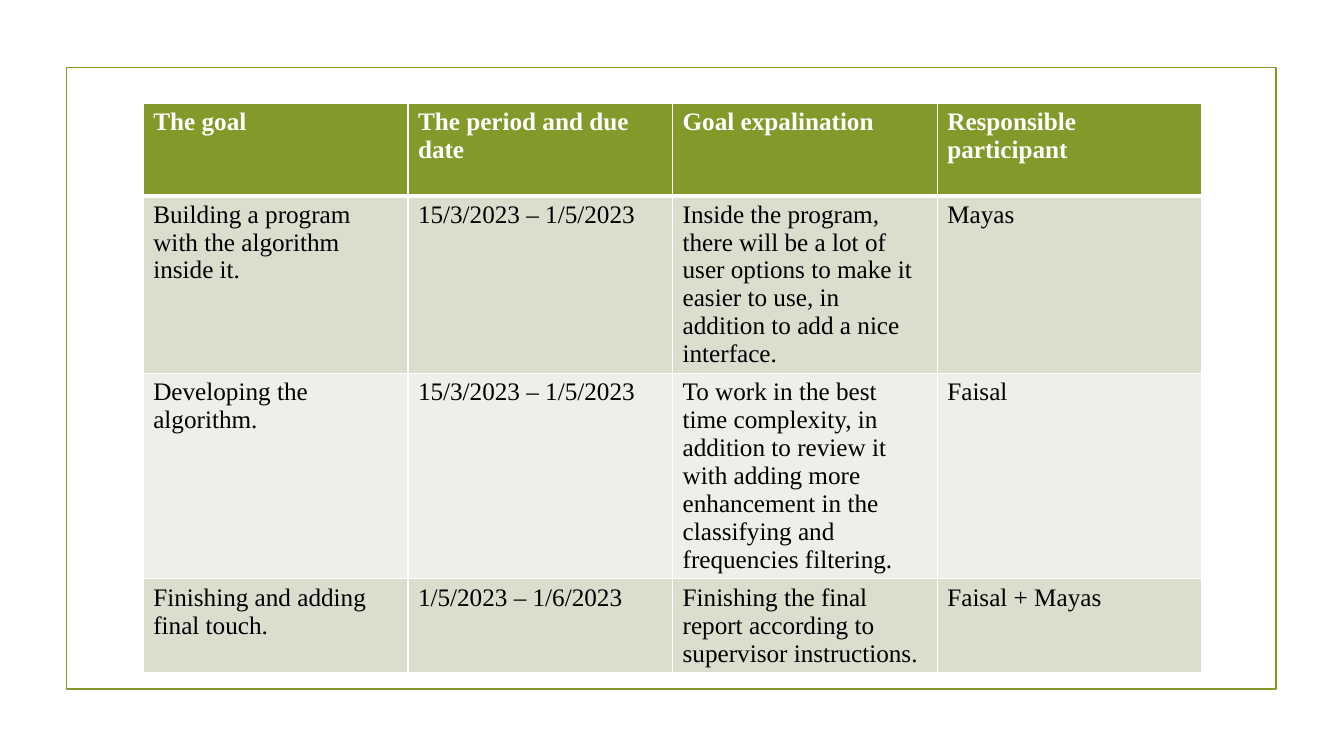
"""Build a project plan slide: a framed table of goals, dates and participants."""
from lxml import etree
from pptx import Presentation
from pptx.dml.color import RGBColor
from pptx.enum.shapes import MSO_SHAPE
from pptx.oxml.ns import qn
from pptx.util import Cm, Pt

RECTANGLE = MSO_SHAPE.RECTANGLE

HEADINGS = ("The goal", "The period and due date", "Goal expalination", "Responsible participant")
GOALS = [
    ("Building a program with the algorithm inside it.", "15/3/2023 – 1/5/2023",
     "Inside the program, there will be a lot of user options to make it easier to use, "
     "in addition to add a nice interface.", "Mayas"),
    ("Developing the algorithm.", "15/3/2023 – 1/5/2023",
     "To work in the best time complexity, in addition to review it with adding more "
     "enhancement in the classifying and frequencies filtering.", "Faisal"),
    ("Finishing and adding final touch.", "1/5/2023 – 1/6/2023",
     "Finishing the final report according to supervisor instructions.", "Faisal + Mayas"),
]
ROW_HEIGHTS = (2.33, 4.46, 5.18, 2.36)
COLUMN_WIDTH = 6.67
PLAN_LEFT, PLAN_TOP = 3.61, 2.6
FRAME = (1.68, 1.7, 30.48, 15.67)

THEME = {
    "accent": "83992A",
    "bands": ("D9DECD", "EDEFE8"),
    "border": "FFFFFF",
    "border_width": 1,
    "header_rule_width": 3,
    "frame_width": 1.25,
    "header": {"name": "Times New Roman", "size": Pt(18), "bold": True},
    "body": {"name": "Times New Roman", "size": Pt(18), "bold": False},
    "header_text": "FFFFFF",
    "body_text": "000000",
}


def add_borders(cell, top, bottom):
    """Draw the four cell borders, with the given top and bottom widths."""
    side = THEME["border_width"]
    properties = cell._tc.get_or_add_tcPr()
    widths = {"a:lnL": side, "a:lnR": side, "a:lnT": top, "a:lnB": bottom}
    for position, (tag, width) in enumerate(widths.items()):
        border = etree.Element(qn(tag), w=str(Pt(width)))
        fill = etree.SubElement(border, qn("a:solidFill"))
        etree.SubElement(fill, qn("a:srgbClr"), val=THEME["border"])
        properties.insert(position, border)


def fill_cell(cell, text, row):
    """Write and format one cell of the plan."""
    is_header = row == 0
    cell.text = text
    cell.fill.solid()
    band = THEME["accent"] if is_header else THEME["bands"][(row - 1) % 2]
    cell.fill.fore_color.rgb = RGBColor.from_string(band)
    font = cell.text_frame.paragraphs[0].runs[0].font
    for attribute, value in THEME["header" if is_header else "body"].items():
        setattr(font, attribute, value)
    font.color.rgb = RGBColor.from_string(THEME["header_text" if is_header else "body_text"])
    thin, thick = THEME["border_width"], THEME["header_rule_width"]
    add_borders(cell, thick if row == 1 else thin, thick if is_header else thin)


def add_frame(slide):
    """Outline the content area."""
    frame = slide.shapes.add_shape(RECTANGLE, *map(Cm, FRAME))
    frame.shadow.inherit = False
    frame.fill.background()
    frame.line.color.rgb = RGBColor.from_string(THEME["accent"])
    frame.line.width = Pt(THEME["frame_width"])


def add_plan(slide):
    """Lay out the headings and goals as a table."""
    rows = [HEADINGS, *GOALS]
    plan = slide.shapes.add_table(
        len(rows), len(HEADINGS), Cm(PLAN_LEFT), Cm(PLAN_TOP),
        Cm(COLUMN_WIDTH * len(HEADINGS)), Cm(sum(ROW_HEIGHTS))).table
    for column in plan.columns:
        column.width = Cm(COLUMN_WIDTH)
    for row, (texts, height) in enumerate(zip(rows, ROW_HEIGHTS)):
        plan.rows[row].height = Cm(height)
        for column, text in enumerate(texts):
            fill_cell(plan.cell(row, column), text, row)


def main():
    """Build and save the presentation."""
    deck = Presentation()
    deck.slide_width, deck.slide_height = Cm(33.87), Cm(19.05)
    slide = deck.slides.add_slide(deck.slide_layouts[6])
    add_frame(slide)
    add_plan(slide)
    deck.save("out.pptx")


if __name__ == "__main__":
    main()
